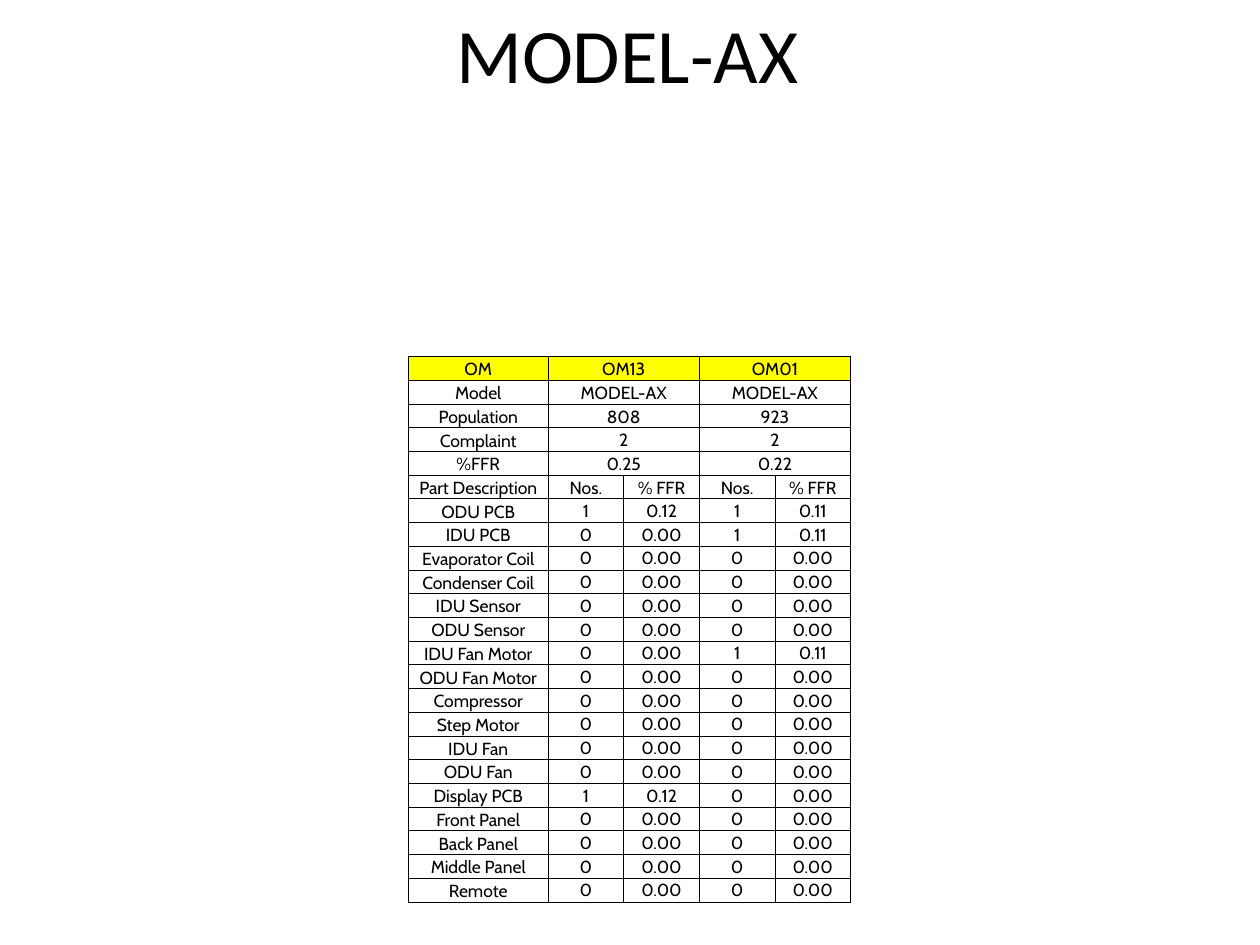
from dataclasses import dataclass

from lxml import etree
from pptx import Presentation
from pptx.dml.color import RGBColor
from pptx.enum.text import MSO_ANCHOR, PP_ALIGN
from pptx.oxml.ns import qn
from pptx.util import Inches, Pt

CENTER = PP_ALIGN.CENTER
MIDDLE, BOTTOM = MSO_ANCHOR.MIDDLE, MSO_ANCHOR.BOTTOM
COLORS = {"text": "000000", "border": "000000", "header": "FFFF00"}
TITLE_FONT, TABLE_FONT = "Calibri", "Cabin"
MODEL = "MODEL-AX"
COLUMN_WIDTHS = [1.11, 0.6, 0.6, 0.6, 0.6]
TABLE_HEIGHT = 4.33
COMPLAINT_ROW, PART_HEADING_ROW = 3, 5


@dataclass(frozen=True)
class Batch:
    name: str
    population: int
    complaints: int

    def failure_rate(self, count: int) -> str:
        return f"{100 * count / self.population:.2f}"


@dataclass(frozen=True)
class Part:
    name: str
    failures: tuple[int, int] = (0, 0)


BATCHES = [Batch("OM13", 808, 2), Batch("OM01", 923, 2)]
PARTS = [
    Part("ODU PCB", (1, 1)),
    Part("IDU PCB", (0, 1)),
    Part("Evaporator Coil"),
    Part("Condenser Coil"),
    Part("IDU Sensor"),
    Part("ODU Sensor"),
    Part("IDU Fan Motor", (0, 1)),
    Part("ODU Fan Motor"),
    Part("Compressor"),
    Part("Step Motor"),
    Part("IDU Fan"),
    Part("ODU Fan"),
    Part("Display PCB", (1, 0)),
    Part("Front Panel"),
    Part("Back Panel"),
    Part("Middle Panel"),
    Part("Remote"),
]


def report_rows() -> list[list[str]]:
    """Summary rows hold one value per batch; later rows hold two."""
    rows = [
        ["OM", *(batch.name for batch in BATCHES)],
        ["Model", *(MODEL for _ in BATCHES)],
        ["Population", *(str(batch.population) for batch in BATCHES)],
        ["Complaint", *(str(batch.complaints) for batch in BATCHES)],
        ["%FFR", *(batch.failure_rate(batch.complaints) for batch in BATCHES)],
        ["Part Description", *(["Nos.", "% FFR"] * len(BATCHES))],
    ]
    for part in PARTS:
        row = [part.name]
        for batch, count in zip(BATCHES, part.failures):
            row += [str(count), batch.failure_rate(count)]
        rows.append(row)
    return rows


def format_text(text_frame, font_name: str, size: float) -> None:
    for paragraph in text_frame.paragraphs:
        paragraph.alignment = CENTER
        for run in paragraph.runs:
            run.font.name = font_name
            run.font.size = Pt(size)
            run.font.color.rgb = RGBColor.from_string(COLORS["text"])


def add_borders(cell) -> None:
    properties = cell._tc.get_or_add_tcPr()
    for side in ("lnL", "lnR", "lnT", "lnB"):
        line = etree.SubElement(properties, qn(f"a:{side}"), w=str(Pt(0.5)))
        fill = etree.SubElement(line, qn("a:solidFill"))
        etree.SubElement(fill, qn("a:srgbClr"), val=COLORS["border"])


def style_cell(cell, is_header: bool) -> None:
    """Set borders before the fill, as the cell's XML requires that order."""
    cell.margin_left = cell.margin_right = cell.margin_top = Inches(0.01)
    cell.margin_bottom = 0
    add_borders(cell)
    if is_header:
        cell.fill.solid()
        cell.fill.fore_color.rgb = RGBColor.from_string(COLORS["header"])
    else:
        cell.fill.background()


def add_title(slide) -> None:
    title = slide.shapes.title
    title.left, title.top = Inches(0.48), Inches(0.17)
    title.width, title.height = Inches(9), Inches(0.5)
    title.text_frame.text = MODEL
    title.text_frame.vertical_anchor = MIDDLE
    format_text(title.text_frame, TITLE_FONT, 44)


def add_failure_table(slide, rows: list[list[str]]) -> None:
    table = slide.shapes.add_table(
        len(rows), len(COLUMN_WIDTHS), Inches(3.24), Inches(2.83),
        Inches(sum(COLUMN_WIDTHS)), Inches(TABLE_HEIGHT),
    ).table
    table.first_row = table.horz_banding = False
    for column, width in zip(table.columns, COLUMN_WIDTHS):
        column.width = Inches(width)

    for row_index, values in enumerate(rows):
        table.rows[row_index].height = Inches(TABLE_HEIGHT / len(rows))
        for column_index in range(len(COLUMN_WIDTHS)):
            style_cell(table.cell(row_index, column_index), row_index == 0)

        is_summary = row_index < PART_HEADING_ROW
        is_count = row_index == COMPLAINT_ROW or row_index > PART_HEADING_ROW
        for value_index, value in enumerate(values):
            column_index = value_index
            if is_summary and value_index:
                column_index = 2 * value_index - 1
            cell = table.cell(row_index, column_index)
            if is_summary and value_index:
                cell.merge(table.cell(row_index, column_index + 1))
            cell.text_frame.text = value
            cell.vertical_anchor = MIDDLE if is_count and value_index else BOTTOM
            format_text(cell.text_frame, TABLE_FONT, 10)


def main() -> None:
    presentation = Presentation()
    presentation.slide_width, presentation.slide_height = Inches(10), Inches(7.5)
    slide = presentation.slides.add_slide(presentation.slide_layouts[5])
    add_title(slide)
    add_failure_table(slide, report_rows())
    presentation.save("out.pptx")


if __name__ == "__main__":
    main()
